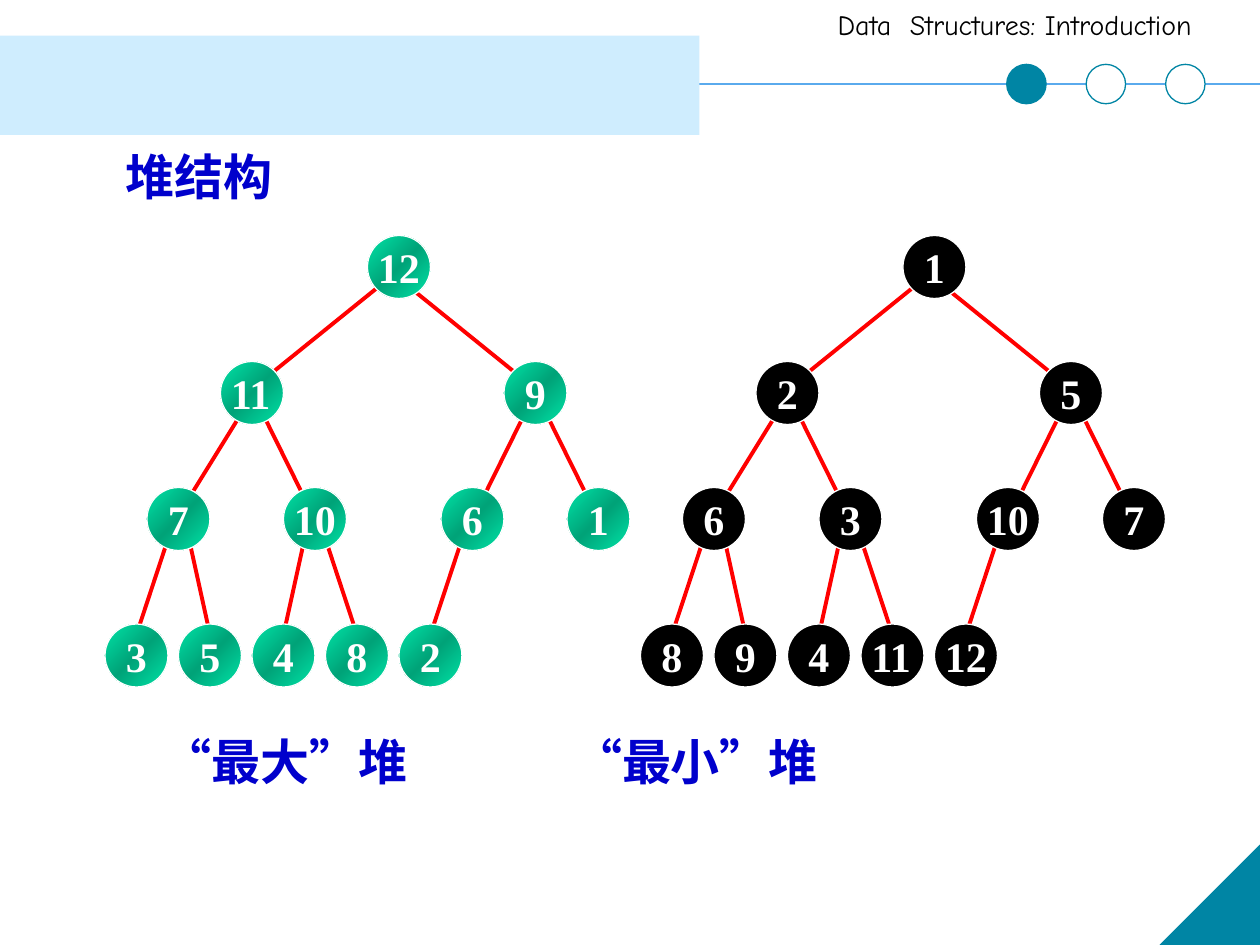
from copy import deepcopy

from lxml.etree import SubElement
from pptx import Presentation
from pptx.dml.color import RGBColor
from pptx.enum.lang import MSO_LANGUAGE_ID as Lang
from pptx.enum.shapes import MSO_CONNECTOR as Connector, MSO_SHAPE as Shape
from pptx.enum.text import MSO_ANCHOR as Anchor, PP_ALIGN as Align
from pptx.oxml.ns import qn
from pptx.util import Pt

SLIDE_WIDTH, SLIDE_HEIGHT = 720, 540
TEAL, WHITE, BLUE, RED = "0085A4", "FFFFFF", "0000CC", "FF0000"
CJK_FONT = "Noto Sans CJK SC"
GREEN_GRADIENT = ("00E4A8", "00A378", "00E4A8")

NODE = 36
# Node positions inside a tree, level by level: top, then the left edges
LEVELS = [
    (0, [150]),
    (72, [66, 228]),
    (144, [24, 102, 192, 264]),
    (222, [0, 42, 84, 126, 168]),
]
# Per parent level: edge start left and right of the parent's centre,
# and edge end measured from the child's centre towards the parent
EDGE_OFFSETS = [(-12, 6, 12), (-6, 6, 6), (-6, 6, 0)]
EDGE_START, EDGE_END = 29.5, 6

MAX_HEAP = [12, 11, 9, 7, 10, 6, 1, 3, 5, 4, 8, 2]
MIN_HEAP = [1, 2, 5, 6, 3, 10, 7, 8, 9, 4, 11, 12]


def rgb(hex_color):
    return RGBColor.from_string(hex_color)


def write(frame, text, *, font, size, color, bold=False, align=Align.LEFT,
          anchor=Anchor.TOP, wrap=True, inset=None, language=None):
    frame.word_wrap = wrap
    frame.vertical_anchor = anchor
    if inset is not None:
        frame.margin_left = frame.margin_right = Pt(inset)
        frame.margin_top = frame.margin_bottom = Pt(inset)
    paragraph = frame.paragraphs[0]
    paragraph.alignment = align
    run = paragraph.add_run()
    run.text = text
    run.font.name, run.font.size, run.font.bold = font, Pt(size), bold
    run.font.color.rgb = rgb(color)
    if language:
        run.font.language_id = language
    # East Asian characters take their typeface from a separate element
    SubElement(run._r.get_or_add_rPr(), qn("a:ea")).set("typeface", font)


def add_text(slide, left, top, width, height, text, **style):
    box = slide.shapes.add_textbox(Pt(left), Pt(top), Pt(width), Pt(height))
    write(box.text_frame, text, **style)


def fill_gradient(shape, colors):
    shape.fill.gradient()
    shape.fill.gradient_angle = 315
    stop_list = shape._element.spPr.find(".//" + qn("a:gsLst"))
    stop_list.insert(1, deepcopy(stop_list[0]))
    for index, (stop, color) in enumerate(zip(shape.fill.gradient_stops, colors)):
        stop.position = index / (len(colors) - 1)
        stop.color.rgb = rgb(color)


def add_shape(slide, kind, left, top, width, height, fill, line=None):
    """Add a preset shape; fill is one hex colour or a tuple of gradient stops."""
    shape = slide.shapes.add_shape(kind, Pt(left), Pt(top), Pt(width), Pt(height))
    shape.shadow.inherit = False
    if isinstance(fill, tuple):
        fill_gradient(shape, fill)
    else:
        shape.fill.solid()
        shape.fill.fore_color.rgb = rgb(fill)
    if line:
        shape.line.color.rgb = rgb(line)
        shape.line.width = Pt(0.75)
    else:
        shape.line.fill.background()
    return shape


def add_line(slide, x1, y1, x2, y2, color, width):
    line = slide.shapes.add_connector(
        Connector.STRAIGHT, Pt(x1), Pt(y1), Pt(x2), Pt(y2))
    line.line.color.rgb = rgb(color)
    line.line.width = Pt(width)
    SubElement(line._element.spPr, qn("a:effectLst"))


def add_header(slide):
    add_line(slide, 0, 48, SLIDE_WIDTH, 48, "5AAAED", 1)
    add_text(slide, 471.6, 0.7, 248.4, 26.6, "Data  Structures: Introduction",
             font="Comic Neue", size=16, color="000000")
    add_shape(slide, Shape.RECTANGLE, 0, 20.4, 399.6, 56.7, "CFEDFE")
    for index, fill in enumerate((TEAL, WHITE, WHITE)):
        add_shape(slide, Shape.OVAL, 575.3 + index * 45.4, 36.8, 22.5, 22.5, fill, TEAL)


def add_corner(slide, size):
    corner = add_shape(slide, Shape.RIGHT_TRIANGLE, SLIDE_WIDTH - size,
                       SLIDE_HEIGHT - size, size, size, TEAL, TEAL)
    corner._element.spPr.find(qn("a:xfrm")).set("flipH", "1")


def set_title(slide, left, top, width, height, text):
    title = slide.shapes.title
    title.left, title.top = Pt(left), Pt(top)
    title.width, title.height = Pt(width), Pt(height)
    write(title.text_frame, text, font=CJK_FONT, size=28, color=BLUE, bold=True,
          align=Align.CENTER, anchor=Anchor.MIDDLE,
          language=Lang.SIMPLIFIED_CHINESE)


def add_heap(slide, left, top, values, fill):
    """Draw a heap, given in level order, as a binary tree."""
    nodes = [(level, left + x, top + y)
             for level, (y, lefts) in enumerate(LEVELS) for x in lefts]
    for child in range(1, len(values)):
        level, parent_x, parent_y = nodes[(child - 1) // 2]
        _, child_x, child_y = nodes[child]
        start_left, start_right, end = EDGE_OFFSETS[level]
        is_left = child % 2 == 1
        add_line(slide,
                 parent_x + NODE / 2 + (start_left if is_left else start_right),
                 parent_y + EDGE_START,
                 child_x + NODE / 2 + (end if is_left else -end),
                 child_y + EDGE_END, RED, 2.25)
    for value, (_, x, y) in zip(values, nodes):
        add_shape(slide, Shape.OVAL, x, y, NODE, NODE, fill, WHITE)
        label_width = 38.4 if value > 9 else 26.4
        add_text(slide, x + (NODE - label_width) / 2, y, label_width, NODE,
                 str(value), font="Times New Roman", size=24, color=WHITE,
                 bold=True, wrap=False)


def add_caption(slide, left, text):
    add_text(slide, left, 418.2, 140, 40.5, text, font=CJK_FONT, size=28,
             color=BLUE, bold=True, inset=0, wrap=False,
             language=Lang.SIMPLIFIED_CHINESE)


def main():
    deck = Presentation()
    deck.slide_width, deck.slide_height = Pt(SLIDE_WIDTH), Pt(SLIDE_HEIGHT)
    slide = deck.slides.add_slide(deck.slide_layouts[5])
    add_header(slide)
    add_corner(slide, 57)
    set_title(slide, 14.4, 70.6, 198.7, 59.8, "堆结构")
    add_heap(slide, 60, 134.6, MAX_HEAP, GREEN_GRADIENT)
    add_heap(slide, 366, 134.6, MIN_HEAP, "000000")
    add_caption(slide, 93, "“最大”堆")
    add_caption(slide, 327.5, "“最小”堆")
    deck.save("out.pptx")


if __name__ == "__main__":
    main()
